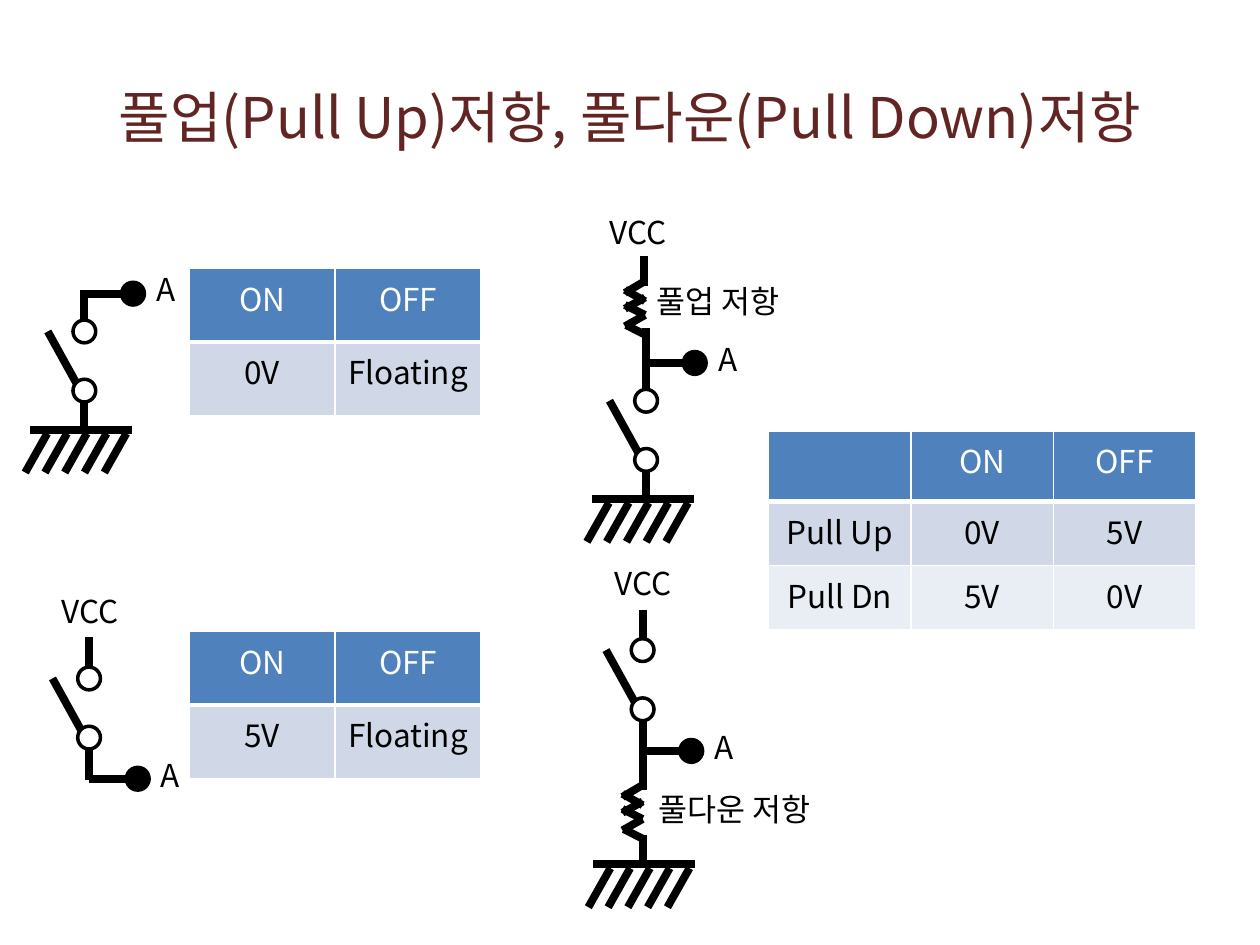
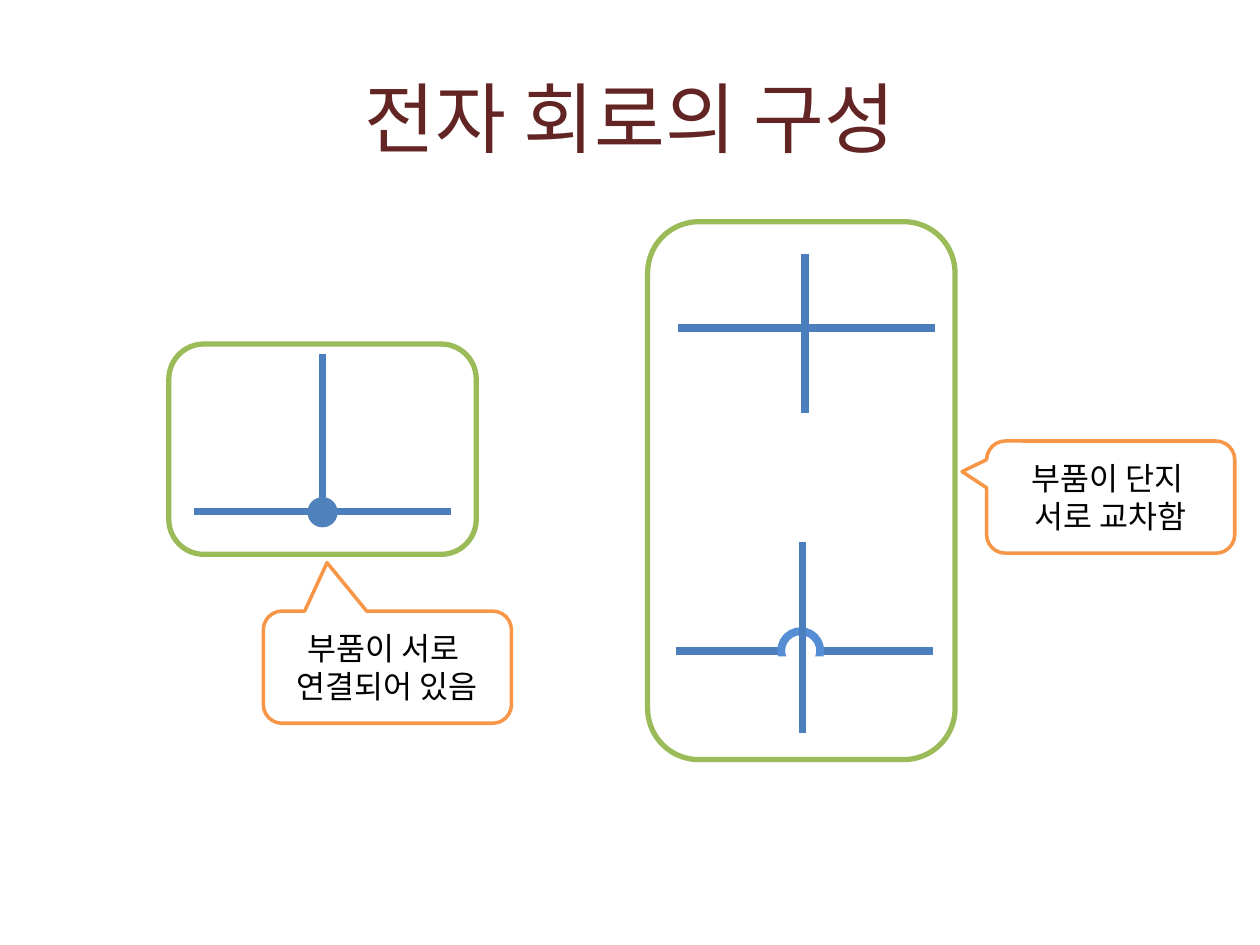
"""Build two slides on pull-up and pull-down resistors and circuit wiring."""
from dataclasses import dataclass

import lxml.etree
import pptx
import pptx.dml.color
import pptx.enum.shapes
import pptx.enum.text
import pptx.oxml.ns
import pptx.util

Pt = pptx.util.Pt
KIND = pptx.enum.shapes.MSO_SHAPE
ALIGN = pptx.enum.text.PP_ALIGN
ANCHOR = pptx.enum.text.MSO_ANCHOR
FIT = pptx.enum.text.MSO_AUTO_SIZE
qn = pptx.oxml.ns.qn


@dataclass(frozen=True)
class Theme:
    font: str = "Noto Sans CJK KR"
    title: str = "632523"
    ink: str = "000000"
    paper: str = "FFFFFF"
    head: str = "4F81BD"
    bands: tuple = ("D0D8E8", "E9EDF4")
    wire: str = "4B7EBC"
    arc: str = "558ED5"
    frame: str = "9BBB59"
    call: str = "F79646"
    body: int = 18
    small: int = 32
    large: int = 44
    thick: float = 4.5
    edge: int = 3
    thin: int = 2


LOOK = Theme()

TITLES = (
    ("풀업(Pull Up)저항, 풀다운(Pull Down)저항", LOOK.small),
    ("전자 회로의 구성", LOOK.large),
)

PARTS = [
    dict(x=48.2, switch=189.4, stems=[(165.6, 187.9), (225.4, 247.7)],
         tap=167.8, ground=(48.2, 245.5)),
    dict(x=50.9, switch=387.7, stems=[(364.3, 385.9), (424.1, 445.7)],
         tap=445),
    dict(x=369.2, switch=229, stems=[(187.2, 227.5), (265, 287.3)],
         tap=207.4, ground=(369.2, 285.1), coil=(357.1, 160.6),
         lead=(367.9, 146.2, 163.4)),
    dict(x=367.2, switch=371.5, stems=[(348.5, 370.1), (408.2, 451.4)],
         tap=429.1, ground=(370, 493.9), coil=(355.7, 448.6),
         lead=(367.2, 477.4, 495.4)),
]

LABELS = [
    ("VCC", 28.1, 334.8, 48.2),
    ("VCC", 341.3, 118.1, 48.2),
    ("VCC", 344.2, 319, 48.2),
    ("풀업 저항", 367.9, 157.7, 93.6),
    ("풀다운 저항", 369.4, 447.8, 111.6),
]

TABLES = [
    (108, 153.4, 83.5, (42.1, 42.1), [("ON", "OFF"), ("0V", "Floating")]),
    (108, 360.7, 83.5, (42.1, 42.1), [("ON", "OFF"), ("5V", "Floating")]),
    (439.2, 246.2, 81.4, (40.3, 36.7, 36.7),
     [("", "ON", "OFF"), ("Pull Up", "0V", "5V"), ("Pull Dn", "5V", "0V")]),
]

ZIGZAG = [
    (0, 5, 11.5, 11.5), (0, 13.7, 11.5, 19.4), (0.7, 25.2, 12.2, 31),
    (11.5, 9.4, 0, 15.8), (11.5, 19.4, 0, 25.9), (11.5, 0, 0, 6.8),
]

JOINT = (184.3, 292.3, 202.3, 292.3)
CROSS = (460.9, 187.2, 145.4, 236.2)
JUMP = (459.7, 372.2, 309.6, 419)

CALLS = [
    ("부품이 서로 \n연결되어 있음", 150.5, 349.2, (-0.243, -0.932, 0.167)),
    ("부품이 단지 \n서로 교차함", 563.8, 252, (-0.599, -0.227, 0.167)),
]

FRAMES = [(96.5, 196.6, 175.7, 120.2), (370.1, 126.7, 175.7, 307.4)]


def paint(code):
    return pptx.dml.color.RGBColor.from_string(code)


def write(frame, text, size=LOOK.body, color=LOOK.ink, align=ALIGN.LEFT,
          anchor=None, wrap=None):
    if wrap is not None:
        frame.word_wrap = wrap
    if anchor is not None:
        frame.vertical_anchor = anchor
    for i, line in enumerate(text.split("\n")):
        para = frame.paragraphs[0] if i == 0 else frame.add_paragraph()
        para.alignment = align
        run = para.add_run()
        run.text = line
        font = run.font
        font.size, font.name, font.bold = Pt(size), LOOK.font, False
        font.color.rgb = paint(color)
        east = lxml.etree.SubElement(run._r.get_or_add_rPr(), qn("a:ea"))
        east.set("typeface", LOOK.font)


def label(slide, text, x, y, w):
    box = slide.shapes.add_textbox(Pt(x), Pt(y), Pt(w), Pt(28.8))
    write(box.text_frame, text, wrap=False)
    box.text_frame.auto_size = FIT.SHAPE_TO_FIT_TEXT


def title(slide, text, size):
    box = slide.shapes.add_textbox(Pt(36), Pt(21.6), Pt(648), Pt(90))
    write(box.text_frame, text, size=size, color=LOOK.title,
          align=ALIGN.CENTER, anchor=ANCHOR.MIDDLE, wrap=True)


def wire(slide, x1, y1, x2, y2, color=LOOK.ink):
    line = slide.shapes.add_connector(
        pptx.enum.shapes.MSO_CONNECTOR.STRAIGHT, Pt(x1), Pt(y1), Pt(x2), Pt(y2))
    line.line.color.rgb = paint(color)
    line.line.width = Pt(LOOK.thick)
    lxml.etree.SubElement(line._element.spPr, qn("a:effectLst"))


def shape(slide, kind, x, y, w, h, fill=None, edge=None, width=LOOK.thin):
    item = slide.shapes.add_shape(kind, Pt(x), Pt(y), Pt(w), Pt(h))
    item.shadow.inherit = False
    if fill:
        item.fill.solid()
        item.fill.fore_color.rgb = paint(fill)
    else:
        item.fill.background()
    if edge:
        item.line.color.rgb = paint(edge)
        item.line.width = Pt(width)
    else:
        item.line.fill.background()
    return item


def dot(slide, x, y, fill):
    shape(slide, KIND.OVAL, x - 6.5, y - 6.5, 13, 13, fill, LOOK.ink)


def ground(slide, x, y):
    wire(slide, x - 31, y, x + 27.4, y)
    for i in range(5):
        left = x - 33.8 + 11.3 * i
        wire(slide, left, y + 24.5, left + 12.6, y + 2.2)


def coil(slide, x, y):
    for x1, y1, x2, y2 in ZIGZAG:
        wire(slide, x + x1, y + y1, x + x2, y + y2)


def tap(slide, x, y):
    wire(slide, x, y, x + 25.2, y)
    dot(slide, x + 27.8, y, LOOK.ink)
    label(slide, "A", x + 34, y - 16.8, 22.3)


def switch(slide, x, y):
    wire(slide, x - 20.9, y, x - 2.2, y + 33.8)
    for top in (y + 33.8, y):
        dot(slide, x, top, LOOK.paper)


def circuit(slide, part):
    x = part["x"]
    for top, low in part["stems"]:
        wire(slide, x, top, x, low)
    if "ground" in part:
        ground(slide, *part["ground"])
    if "coil" in part:
        coil(slide, *part["coil"])
        lead, top, low = part["lead"]
        wire(slide, lead, top, lead, low)
    switch(slide, x, part["switch"])
    tap(slide, x, part["tap"])


def border(cell, low):
    props = cell._tc.get_or_add_tcPr()
    for side, width in (("L", 1), ("R", 1), ("T", 1), ("B", low)):
        line = lxml.etree.SubElement(props, qn("a:ln" + side), w=str(Pt(width)))
        fill = lxml.etree.SubElement(line, qn("a:solidFill"))
        lxml.etree.SubElement(fill, qn("a:srgbClr"), val=LOOK.paper)


def table(slide, x, y, wide, highs, rows):
    count = len(rows[0])
    grid = slide.shapes.add_table(len(rows), count, Pt(x), Pt(y),
                                  Pt(wide * count), Pt(sum(highs))).table
    grid.first_row = grid.horz_banding = False
    for col in grid.columns:
        col.width = Pt(wide)
    for r, (high, row) in enumerate(zip(highs, rows)):
        grid.rows[r].height = Pt(high)
        back = LOOK.bands[(r - 1) % 2] if r else LOOK.head
        for c, text in enumerate(row):
            cell = grid.cell(r, c)
            border(cell, 1 if r else 3)
            cell.fill.solid()
            cell.fill.fore_color.rgb = paint(back)
            if text:
                write(cell.text_frame, text, align=ALIGN.CENTER,
                      color=LOOK.ink if r else LOOK.paper)


def level(slide, x, y):
    wire(slide, x - 73.6, y, x + 73.6, y, LOOK.wire)


def upright(slide, x, top, low):
    wire(slide, x, top, x, low, LOOK.wire)


def pulls(slide):
    for part in PARTS:
        circuit(slide, part)
    for item in TABLES:
        table(slide, *item)
    for item in LABELS:
        label(slide, *item)


def wiring(slide):
    for x, y, top, low in (JOINT, CROSS):
        level(slide, x, y)
        upright(slide, x - (0.8 if top < y < low else 0), top, low)
    x, y, top, low = JUMP
    level(slide, x, y)
    shape(slide, KIND.FLOWCHART_CONNECTOR, x - 13.3, y - 11.5, 22.3, 22.3,
          LOOK.paper, LOOK.arc, LOOK.thick)
    shape(slide, KIND.RECTANGLE, x - 15.5, y + 2.9, 32.4, 17.3, LOOK.paper)
    upright(slide, x - 1.1, top, low)
    x, y = JOINT[:2]
    shape(slide, KIND.FLOWCHART_CONNECTOR, x - 8.6, y - 8.2, 17.3, 17.3,
          LOOK.head)
    for text, x, y, tail in CALLS:
        call = shape(slide, KIND.ROUNDED_RECTANGULAR_CALLOUT, x, y,
                     141.8, 64.1, LOOK.paper, LOOK.call)
        for i, value in enumerate(tail):
            call.adjustments[i] = value
        write(call.text_frame, text, align=ALIGN.CENTER,
              anchor=ANCHOR.MIDDLE, wrap=True)
    for box in FRAMES:
        shape(slide, KIND.ROUNDED_RECTANGLE, *box, edge=LOOK.frame,
              width=LOOK.edge)


def main():
    deck = pptx.Presentation()
    deck.slide_width, deck.slide_height = Pt(720), Pt(540)
    for (text, size), draw in zip(TITLES, (pulls, wiring)):
        slide = deck.slides.add_slide(deck.slide_layouts[6])
        title(slide, text, size)
        draw(slide)
    deck.save("out.pptx")


if __name__ == "__main__":
    main()
